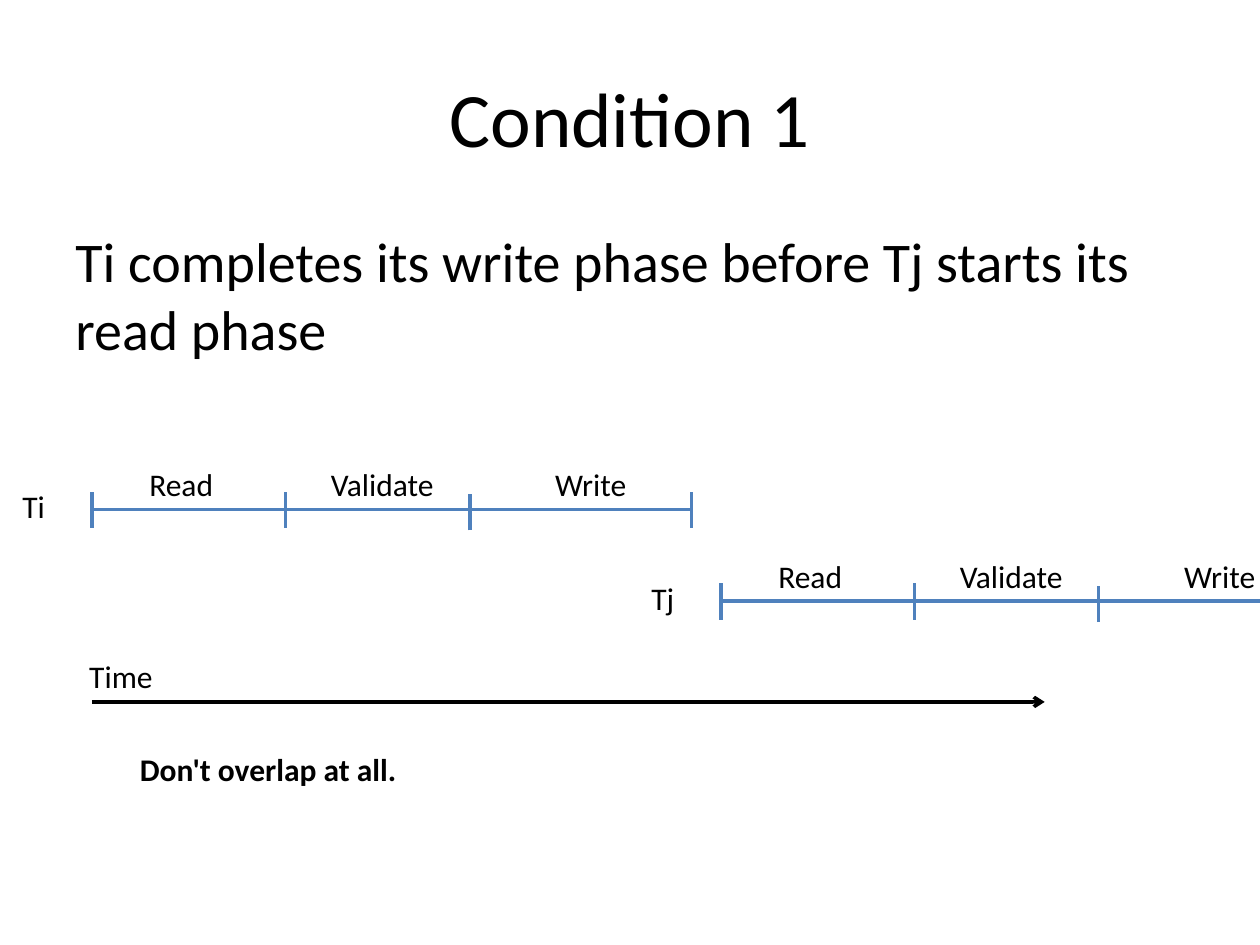
"""Build the Condition 1 slide: two transaction timelines that do not overlap."""
from dataclasses import dataclass

from lxml import etree
from pptx import Presentation
from pptx.dml.color import RGBColor
from pptx.enum.shapes import MSO_CONNECTOR
from pptx.enum.text import MSO_ANCHOR, PP_ALIGN
from pptx.oxml.ns import qn
from pptx.util import Cm, Pt

STRAIGHT = MSO_CONNECTOR.STRAIGHT
MIDDLE = MSO_ANCHOR.MIDDLE
CENTER = PP_ALIGN.CENTER
LEFT = PP_ALIGN.LEFT


@dataclass(frozen=True)
class Theme:
    font: str = "Calibri"
    text: RGBColor = RGBColor(0x00, 0x00, 0x00)
    phase: RGBColor = RGBColor(0x4F, 0x81, 0xBD)
    title_size: int = 44
    body_size: int = 32
    label_size: int = 18
    line_width: int = 2


theme = Theme()
prs = Presentation()
prs.slide_width, prs.slide_height = Cm(25.4), Cm(19.05)
s = prs.slides.add_slide(prs.slide_layouts[5])


def write(sp, text, size, x, y, w, h, align=LEFT, bold=False, wrap=True):
    sp.left, sp.top, sp.width, sp.height = Cm(x), Cm(y), Cm(w), Cm(h)
    tf = sp.text_frame
    tf.word_wrap = wrap
    tf.text = text
    p = tf.paragraphs[0]
    p.alignment = align
    font = p.runs[0].font
    font.name, font.size, font.bold = theme.font, Pt(size), bold
    font.color.rgb = theme.text


def add_line(x1, y1, x2, y2, color):
    line = s.shapes.add_connector(STRAIGHT, Cm(x1), Cm(y1), Cm(x2), Cm(y2))
    line.line.color.rgb = color
    line.line.width = Pt(theme.line_width)
    etree.SubElement(line._element.spPr, qn("a:effectLst"))
    return line


title = s.shapes.title
write(title, "Condition 1", theme.title_size, 1.27, 0.76, 22.86, 3.18, CENTER)
title.text_frame.vertical_anchor = MIDDLE

body = s.shapes.add_textbox(0, 0, 0, 0)
write(body, "Ti completes its write phase before Tj starts its read phase",
      theme.body_size, 1.27, 4.45, 22.86, 12.57)

timeline_length = 12.09
ticks = [(0, 0), (3.91, 0), (7.62, 0.05), (timeline_length, 0)]
labels = [("Read", 0.91, 1.8), ("Validate", 4.57, 3.25), ("Write", 9.09, 3.25)]
slide_right = 25.4

for name, x, y in [("Ti", 1.85, 10.27), ("Tj", 14.53, 12.12)]:
    add_line(x, y, x + timeline_length, y, theme.phase)
    for dx, dy in ticks:
        if x + dx < slide_right:
            add_line(x + dx, y + dy + 0.37, x + dx, y + dy - 0.36, theme.phase)
    for text, dx, w in labels:
        write(s.shapes.add_textbox(0, 0, 0, 0), text, theme.label_size,
              x + dx, y - 1.02, w, 1.02)
    write(s.shapes.add_textbox(0, 0, 0, 0), name, theme.label_size,
          x - 1.65, y - 0.57, 1.8, 1.02)

time_axis = add_line(1.85, 14.15, 21.06, 14.15, theme.text)
etree.SubElement(time_axis.line._get_or_add_ln(), qn("a:tailEnd"), type="arrow")
write(s.shapes.add_textbox(0, 0, 0, 0), "Time", theme.label_size,
      1.55, 13.13, 8.43, 1.02)

write(s.shapes.add_textbox(0, 0, 0, 0), "Don't overlap at all.",
      theme.label_size, 2.57, 14.99, 5.79, 1.02, bold=True, wrap=False)

prs.save("out.pptx")
